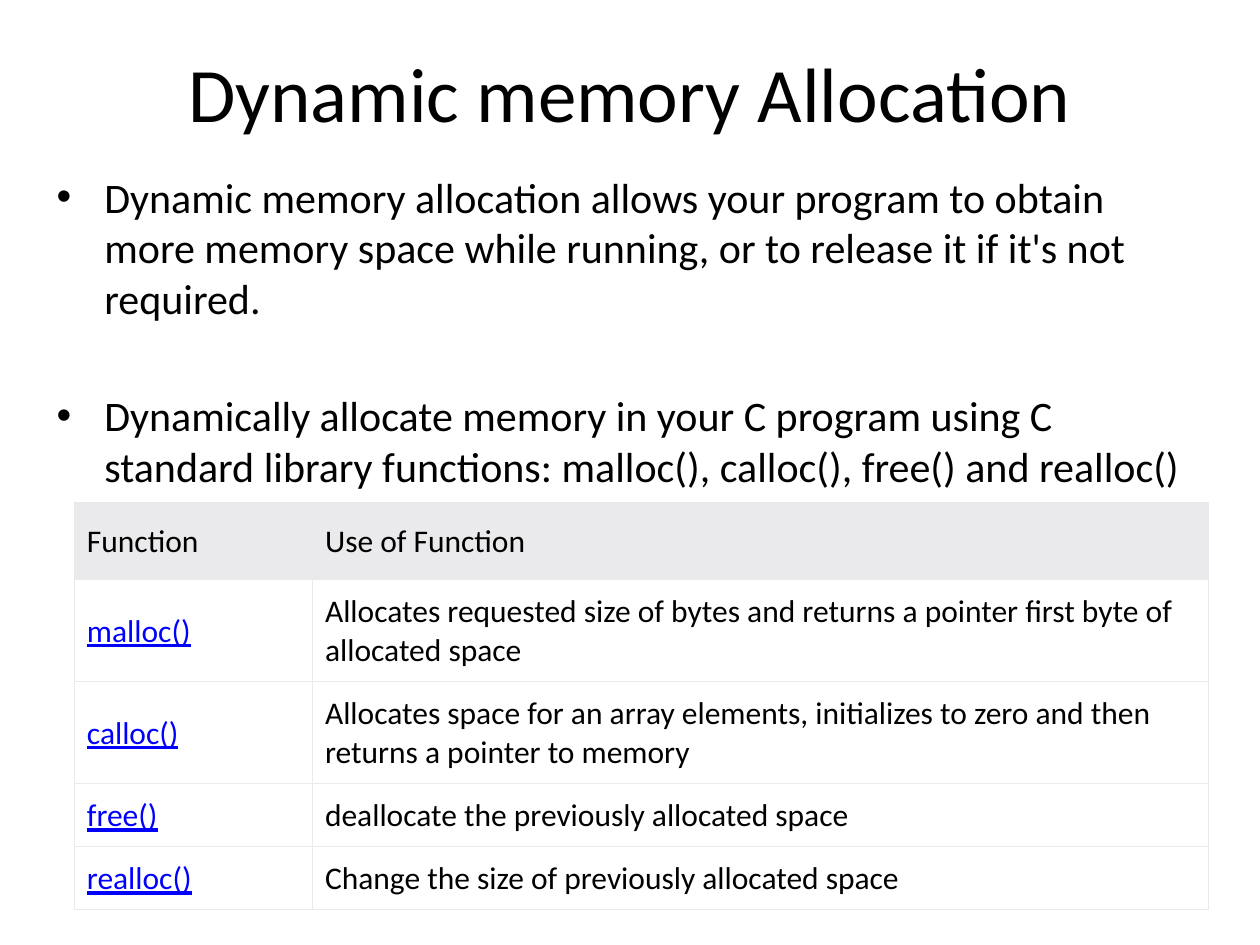
import dataclasses

import pptx
import pptx.dml.color
import pptx.enum.text
import pptx.oxml
import pptx.oxml.ns
import pptx.util

Inches = pptx.util.Inches
Pt = pptx.util.Pt
MIDDLE = pptx.enum.text.MSO_ANCHOR.MIDDLE


@dataclasses.dataclass(frozen=True)
class Theme:
    """Fonts, type sizes and colours of the slide."""

    font: str = "Calibri"
    title: int = 44
    body: int = 24
    table: int = 18
    ink: str = "000000"
    link: str = "0000FF"
    rule: str = "EAEAEC"
    paper: str = "FFFFFF"


THEME = Theme()
BULLETS = [
    "Dynamic memory allocation allows your program to obtain more memory "
    "space while running, or to release it if it's not required.",
    "Dynamically allocate memory in your C program using C standard library "
    "functions: malloc(), calloc(), free() and realloc()",
]
FUNCTIONS = [
    ("Function", "Use of Function"),
    ("malloc()", "Allocates requested size of bytes and returns a pointer "
     "first byte of allocated space"),
    ("calloc()", "Allocates space for an array elements, initializes to zero "
     "and then returns a pointer to memory"),
    ("free()", "deallocate the previously allocated space"),
    ("realloc()", "Change the size of previously allocated space"),
]
COLUMN_WIDTHS = [1.89, 7.11]
ROW_HEIGHTS = [0.6, 0.81, 0.81, 0.5, 0.5]


def apply(target, values):
    """Set each named attribute on the target."""
    for name, value in values.items():
        setattr(target, name, value)


def margins(left, top, right, bottom):
    """Return the four inner margins as format values."""
    sides = {"left": left, "top": top, "right": right, "bottom": bottom}
    return {f"margin_{side}": Inches(size) for side, size in sides.items()}


def add_span(para, text, size, color=THEME.ink, underline=None):
    """Add a formatted run to a paragraph."""
    span = para.add_run()
    span.text = text
    apply(span.font, {"name": THEME.font, "size": Pt(size), "underline": underline})
    span.font.color.rgb = pptx.dml.color.RGBColor.from_string(color)


def set_title(page, text):
    """Place and fill the title placeholder."""
    title = page.shapes.title
    apply(title, {"left": Inches(0.5), "top": Inches(0.3),
                  "width": Inches(9), "height": Inches(0.85)})
    title.text_frame.vertical_anchor = MIDDLE
    para = title.text_frame.paragraphs[0]
    para.alignment = pptx.enum.text.PP_ALIGN.CENTER
    add_span(para, text, THEME.title)


def set_bullet(para, indent):
    """Give a paragraph a round bullet with a hanging indent."""
    properties = para._p.get_or_add_pPr()
    properties.set("marL", str(Inches(indent)))
    properties.set("indent", str(-Inches(indent)))
    namespace = pptx.oxml.ns.nsdecls("a")
    for tag in ('buFont typeface="Arial"', 'buChar char="\u2022"'):
        properties.append(pptx.oxml.parse_xml(f"<a:{tag} {namespace}/>"))


def add_bullets(page, texts):
    """Add the bulleted text above the table."""
    box = page.shapes.add_textbox(Inches(0.35), Inches(1.31), Inches(9.15), Inches(5.91))
    box.text_frame.word_wrap = True
    for index, text in enumerate(texts):
        para = box.text_frame.add_paragraph() if index else box.text_frame.paragraphs[0]
        para.space_before = Pt(38.5 if index else 0)
        set_bullet(para, 0.38)
        add_span(para, text, THEME.body)


def set_borders(cell):
    """Draw a thin rule on all four sides of a cell."""
    properties = cell._tc.get_or_add_tcPr()
    namespace = pptx.oxml.ns.nsdecls("a")
    for position, side in enumerate("LRTB"):
        properties.insert(position, pptx.oxml.parse_xml(
            f'<a:ln{side} {namespace} w="{Pt(0.75)}"><a:solidFill>'
            f'<a:srgbClr val="{THEME.rule}"/></a:solidFill></a:ln{side}>'))


def fill_cell(cell, text, header, linked):
    """Write and format one table cell."""
    inset = margins(0.1, 0.16, 0.08, 0.15) if header else margins(0.1, 0.1, 0.08, 0.09)
    apply(cell, {"vertical_anchor": MIDDLE, **inset})
    cell.fill.solid()
    cell.fill.fore_color.rgb = pptx.dml.color.RGBColor.from_string(
        THEME.rule if header else THEME.paper)
    set_borders(cell)
    add_span(cell.text_frame.paragraphs[0], text, THEME.table,
             THEME.link if linked else THEME.ink, linked)


def add_function_table(page, rows):
    """Add the table of memory functions."""
    frame = page.shapes.add_table(
        len(rows), len(COLUMN_WIDTHS), Inches(0.59), Inches(3.99),
        Inches(sum(COLUMN_WIDTHS)), Inches(sum(ROW_HEIGHTS)))
    table = frame.table
    apply(table, {"first_row": False, "horz_banding": False})
    for column, width in zip(table.columns, COLUMN_WIDTHS):
        column.width = Inches(width)
    for row, height in zip(table.rows, ROW_HEIGHTS):
        row.height = Inches(height)
    for row, texts in enumerate(rows):
        for column, text in enumerate(texts):
            fill_cell(table.cell(row, column), text, row == 0, row > 0 and column == 0)


def main():
    """Build and save the slide."""
    deck = pptx.Presentation()
    apply(deck, {"slide_width": Inches(10), "slide_height": Inches(7.5)})
    page = deck.slides.add_slide(deck.slide_layouts.get_by_name("Title Only"))
    set_title(page, "Dynamic memory Allocation")
    add_bullets(page, BULLETS)
    add_function_table(page, FUNCTIONS)
    deck.save("out.pptx")


main()
